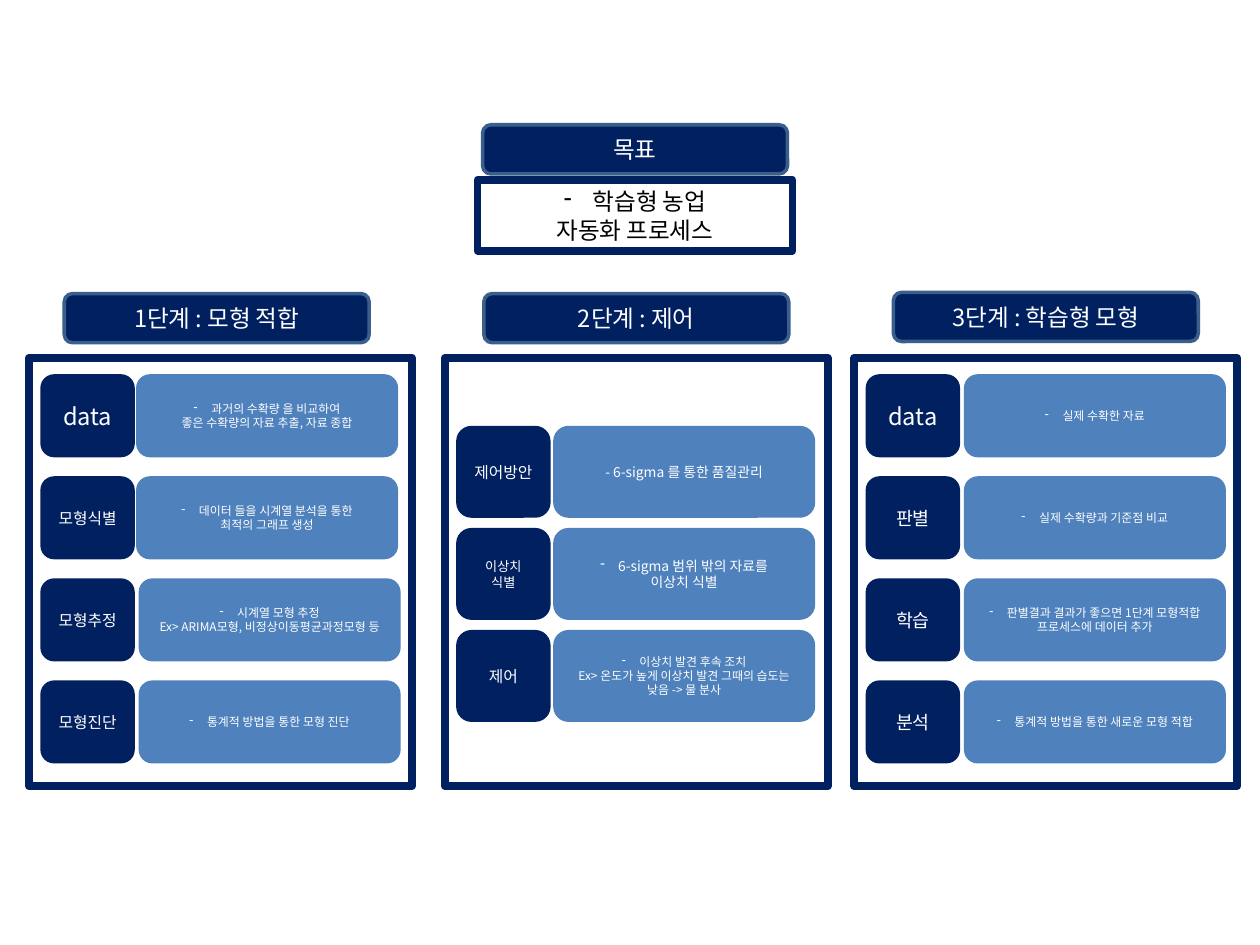
from lxml import etree
from pptx import Presentation
from pptx import util as u
from pptx.dml.color import RGBColor
from pptx.enum import shapes, text
from pptx.oxml.ns import qn

NAVY, BLUE, EDGE, WHITE, BLACK = "002060", "4F81BD", "3A5F8C", "FFFFFF", "000000"
FONT = "Noto Sans CJK KR"
COLS, ROWS = 100, 75
ROUND = shapes.MSO_SHAPE.ROUNDED_RECTANGLE
RECT = shapes.MSO_SHAPE.RECTANGLE


def color(value):
    return RGBColor.from_string(value)


def add_dash(p, indent):
    pPr = p._p.get_or_add_pPr()
    pPr.set("marL", str(u.Inches(indent)))
    pPr.set("indent", str(-u.Inches(indent)))
    etree.SubElement(pPr, qn("a:buFontTx"))
    etree.SubElement(pPr, qn("a:buChar")).set("char", "-")


def write(sp, lines, size=6.8, fill=WHITE, dash=0):
    tf = sp.text_frame
    tf.word_wrap = True
    tf.vertical_anchor = text.MSO_ANCHOR.MIDDLE
    tf.margin_left = tf.margin_right = u.Inches(0.09)
    tf.margin_top = tf.margin_bottom = u.Inches(0.04)
    for i, line in enumerate(lines):
        p = tf.add_paragraph() if i else tf.paragraphs[0]
        p.alignment = text.PP_ALIGN.CENTER
        if dash and i == 0:
            add_dash(p, dash)
        r = p.add_run()
        r.text = line
        r.font.size = u.Pt(size)
        r.font.color.rgb = color(fill)
        r.font.name = FONT
        etree.SubElement(r.font._element, qn("a:ea")).set("typeface", FONT)


class Board:
    def __init__(self, prs):
        self.s = prs.slides.add_slide(prs.slide_layouts[6])
        self.col = prs.slide_width / COLS
        self.row = prs.slide_height / ROWS

    def box(self, kind, x, y, w, h, fill=None, line=None, width=0):
        sp = self.s.shapes.add_shape(
            kind, *(round(v) for v in (x * self.col, y * self.row, w * self.col, h * self.row)))
        sp.shadow.inherit = False
        if fill:
            sp.fill.solid()
            sp.fill.fore_color.rgb = color(fill)
        else:
            sp.fill.background()
        if line:
            sp.line.color.rgb = color(line)
            sp.line.width = u.Pt(width)
        else:
            sp.line.fill.background()
        return sp

    def frame(self, x, y, w, h):
        return self.box(RECT, x, y, w, h, line=NAVY, width=4.5)

    def heading(self, x, y, label):
        write(self.box(ROUND, x, y, 24.2, 3.9, NAVY, EDGE, 2), [label], size=13.5)

    def step(self, x, y, h, key, key_size, gap, lines, size=6.8, dash=0.14):
        write(self.box(ROUND, x, y, 7.5, h, NAVY), [key], size=key_size)
        write(self.box(ROUND, x + 7.5 + gap, y, 20.8, h, BLUE), lines, size=size, dash=dash)

    def stage(self, x, title_x, title_y, title, top, h, steps):
        for i, step in enumerate(steps):
            self.step(x + 0.9, top + 8.1 * i, h, *step)
        self.frame(x, 28.4, 30.4, 34)
        self.heading(title_x, title_y, title)


STAGES = [
    (2.3, 5.1, 23.3, "1단계 : 모형 적합", 29.7, 6.6, [
        ("data", 13.5, 0.1, ["과거의 수확량 을 비교하여", "좋은 수확량의 자료 추출, 자료 종합"]),
        ("모형식별", 9, 0.1, ["데이터 들을 시계열 분석을 통한", "최적의 그래프 생성"]),
        ("모형추정", 9, 0.3, ["시계열 모형 추정", "Ex> ARIMA모형, 비정상이동평균과정모형 등"]),
        ("모형진단", 9, 0.3, ["통계적 방법을 통한 모형 진단"]),
    ]),
    (35.3, 38.4, 23.3, "2단계 : 제어", 33.8, 7.3, [
        ("제어방안", 9, 0.2, ["- 6-sigma 를 통한 품질관리"], 7.9, 0),
        ("이상치 식별", 7.5, 0.2, ["6-sigma 범위 밖의 자료를", "이상치 식별"], 7.9),
        ("제어", 9, 0.2, ["이상치 발견 후속 조치",
                        "Ex> 온도가 높게 이상치 발견 그때의 습도는 낮음 -> 물 분사"]),
    ]),
    (67.8, 70.9, 23.2, "3단계 : 학습형 모형", 29.7, 6.6, [
        ("data", 13.5, 0.3, ["실제 수확한 자료"]),
        ("판별", 10.5, 0.3, ["실제 수확량과 기준점 비교"]),
        ("학습", 10.5, 0.3, ["판별결과 결과가 좋으면 1단계 모형적합", "프로세스에 데이터 추가"]),
        ("분석", 10.5, 0.3, ["통계적 방법을 통한 새로운 모형 적합"]),
    ]),
]


def main():
    prs = Presentation()
    prs.slide_width, prs.slide_height = u.Inches(10), u.Inches(7.5)
    board = Board(prs)
    for stage in STAGES:
        board.stage(*stage)
    board.heading(38.3, 9.9, "목표")
    goal = board.frame(37.9, 14.3, 25, 5.6)
    write(goal, ["학습형 농업", "자동화 프로세스"], size=13.5, fill=BLACK, dash=0.23)
    prs.save("out.pptx")


if __name__ == "__main__":
    main()
